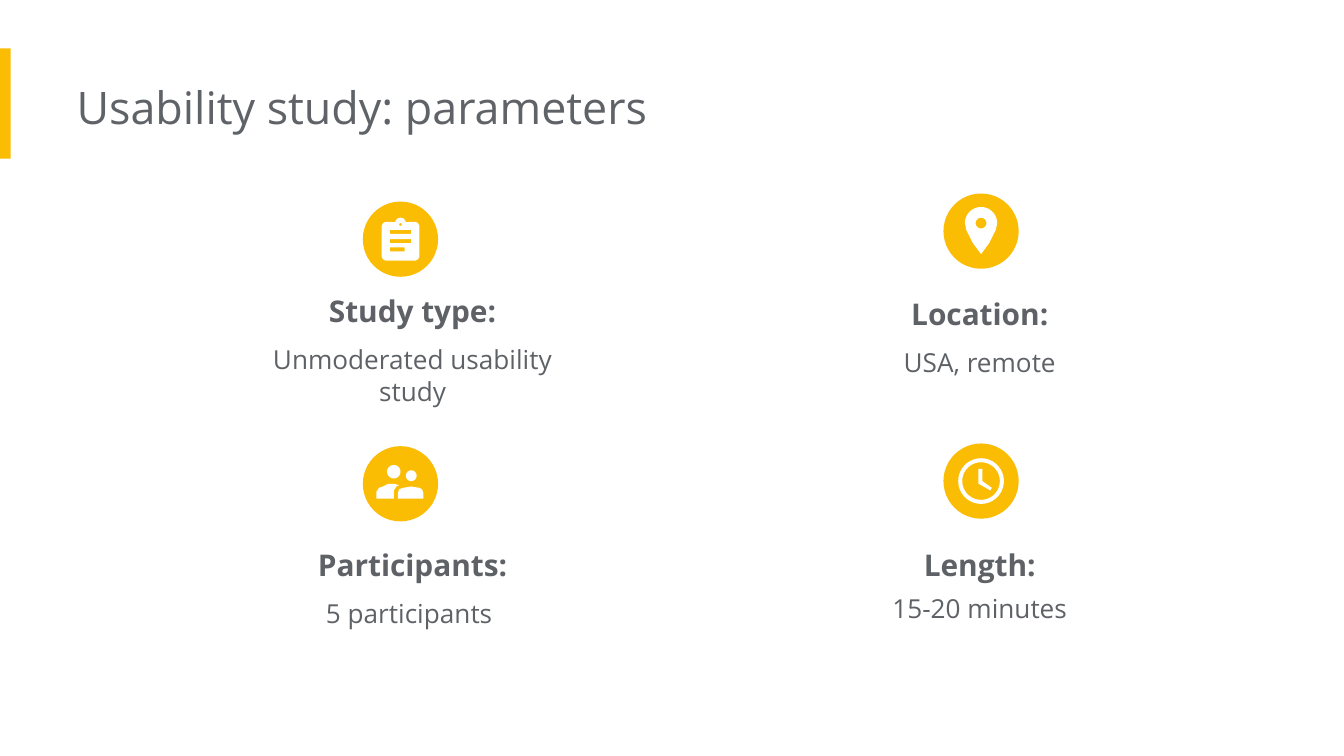
from dataclasses import dataclass
from math import cos, radians, sin

from pptx import Presentation
from pptx.dml.color import RGBColor
from pptx.enum.shapes import MSO_SHAPE as Preset
from pptx.enum.text import MSO_AUTO_SIZE as AutoSize, PP_ALIGN as Align
from pptx.util import Inches, Pt

Point = tuple[float, float]
Contour = list[Point]

WIDTH = 10
HEIGHT = WIDTH * 9 / 16
FONT = "Open Sans"
COLORS = {"accent": "FBBC04", "title": "5F6368", "body": "5E6267", "glyph": "FFFFFF"}

# Grid: left edges of text columns, centres of icon columns
TEXT_COLUMNS = (0.31, 4.53)
ICON_COLUMNS = (2.98, 7.30)
TEXT_WIDTH, TEXT_INDENT = 3.95, 1.57
DISC = 0.56


@dataclass
class Parameter:
    column: int
    icon_y: float
    text_y: float
    text_height: float
    heading: str
    detail: str
    gap: float
    glyph: list[Contour]


# Glyph outlines, in inches from the centre of the disc
def arc(x: float, y: float, radius: float, start: int = 0, end: int = 360) -> Contour:
    return [(x + radius * cos(radians(a)), y + radius * sin(radians(a)))
            for a in range(start, end + 1, 10)]


def bar(left: float, top: float, right: float, bottom: float) -> Contour:
    return [(left, top), (right, top), (right, bottom), (left, bottom)]


CLIPBOARD = [
    [(-0.14, -0.10), (-0.13, -0.12), (-0.11, -0.13), *arc(0, -0.12, 0.04, 190, 350),
     (0.11, -0.13), (0.13, -0.12), (0.14, -0.10), (0.14, 0.13), (0.13, 0.15),
     (0.11, 0.16), (-0.11, 0.16), (-0.13, 0.15), (-0.14, 0.13)],
    arc(0, -0.11, 0.01),
    bar(-0.08, -0.07, 0.08, -0.04),
    bar(-0.08, 0, 0.08, 0.03),
    bar(-0.08, 0.06, 0.03, 0.09),
]
PIN = [
    [*arc(0, -0.06, 0.12, 180, 360), (0.11, -0.01), (0.06, 0.09), (0, 0.17),
     (-0.06, 0.09), (-0.11, -0.01)],
    arc(0, -0.06, 0.04),
]
PEOPLE = [
    arc(-0.05, -0.09, 0.05),
    arc(0.08, -0.06, 0.04),
    [(-0.05, 0.11), (-0.18, 0.11), (-0.18, 0.06), (-0.16, 0.03), (-0.13, 0.02),
     (-0.09, 0), (-0.05, 0), (-0.01, 0.01), (-0.03, 0.02), (-0.05, 0.05)],
    [(-0.02, 0.11), (-0.02, 0.07), (-0.01, 0.04), (0.02, 0.03), (0.08, 0.02),
     (0.14, 0.03), (0.16, 0.04), (0.17, 0.07), (0.17, 0.11)],
]
CLOCK = [
    arc(0, 0, 0.17),
    arc(0, 0, 0.14),
    [(0.07, 0.07), (-0.02, 0.02), (-0.02, -0.09), (0.01, -0.09), (0.01, 0), (0.08, 0.05)],
]

PARAMETERS = [
    Parameter(0, 1.78, 2.13, 0.95, "Study type:", "Unmoderated usability study", 8, CLIPBOARD),
    Parameter(1, 1.72, 2.15, 0.72, "Location:", "USA, remote", 8, PIN),
    Parameter(0, 3.60, 4.02, 0.72, "Participants:", "5 participants ", 8, PEOPLE),
    Parameter(1, 3.58, 4.02, 0.68, "Length:", "15-20 minutes", 5, CLOCK),
]


def paint(shape, color: str) -> None:
    shape.shadow.inherit = False
    shape.fill.solid()
    shape.fill.fore_color.rgb = RGBColor.from_string(COLORS[color])
    shape.line.fill.background()


def add_box(page, left: float, top: float, width: float, height: float):
    box = page.shapes.add_textbox(Inches(left), Inches(top), Inches(width), Inches(height))
    box.text_frame.word_wrap = True
    box.text_frame.auto_size = AutoSize.SHAPE_TO_FIT_TEXT
    return box.text_frame


def write(para, text: str, *, size: float, color: str, bold: bool = False,
          align=Align.LEFT, before: float = 0, indent: float = 0) -> None:
    para.alignment = align
    para.space_before = Pt(before)
    properties = para._p.get_or_add_pPr()
    properties.set("marL", str(Inches(indent)))
    properties.set("indent", "0")
    span = para.add_run()
    span.text = text
    span.font.name = FONT
    span.font.size = Pt(size)
    span.font.bold = bold
    span.font.color.rgb = RGBColor.from_string(COLORS[color])


def add_icon(page, x: float, y: float, glyph: list[Contour]) -> None:
    shapes = page.shapes.add_group_shape().shapes
    paint(shapes.add_shape(Preset.OVAL, Inches(x - DISC / 2), Inches(y - DISC / 2),
                           Inches(DISC), Inches(DISC)), "accent")
    contours = [[(Inches(x + dx), Inches(y + dy)) for dx, dy in part] for part in glyph]
    builder = shapes.build_freeform(*contours[0][0])
    for index, points in enumerate(contours):
        if index:
            builder.move_to(*points[0])
        builder.add_line_segments(points[1:], close=True)
    paint(builder.convert_to_shape(), "glyph")


def add_parameter(page, item: Parameter) -> None:
    add_icon(page, ICON_COLUMNS[item.column], item.icon_y, item.glyph)
    frame = add_box(page, TEXT_COLUMNS[item.column], item.text_y, TEXT_WIDTH, item.text_height)
    layout = {"color": "body", "align": Align.CENTER, "indent": TEXT_INDENT}
    write(frame.paragraphs[0], item.heading, size=16, bold=True, **layout)
    write(frame.add_paragraph(), item.detail, size=14, before=item.gap, **layout)


def main() -> None:
    deck = Presentation()
    deck.slide_width, deck.slide_height = Inches(WIDTH), Inches(HEIGHT)
    page = deck.slides.add_slide(deck.slide_layouts[6])

    # Accent bar and title
    paint(page.shapes.add_shape(Preset.RECTANGLE, 0, Inches(0.36), Inches(0.08),
                                Inches(0.82)), "accent")
    title = add_box(page, 0.57, 0.49, 6.73, 0.61)
    title.margin_left = 0
    title.margin_right = title.margin_top = title.margin_bottom = Inches(0.1)
    write(title.paragraphs[0], "Usability study: parameters", size=24, color="title")

    # Study parameters
    for item in PARAMETERS:
        add_parameter(page, item)

    deck.save("out.pptx")


if __name__ == "__main__":
    main()
